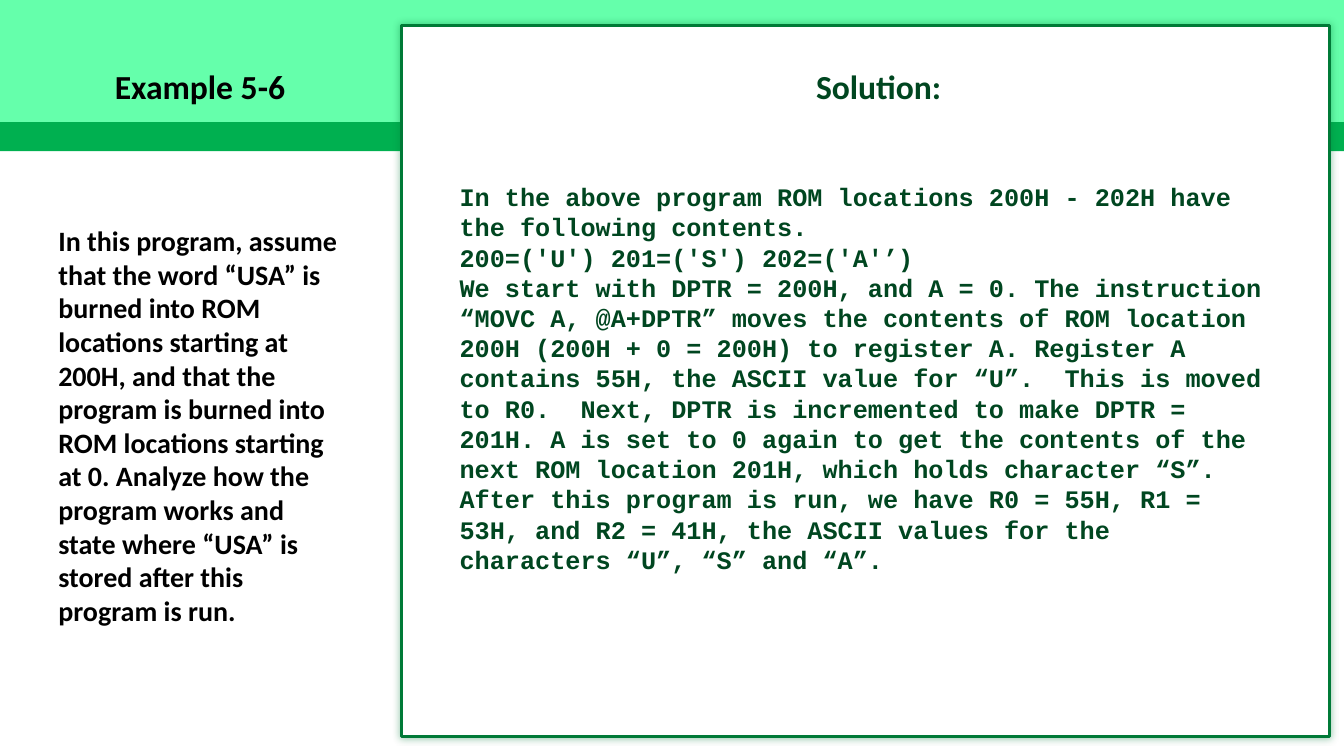
from dataclasses import dataclass

from lxml import etree
from pptx import Presentation
from pptx.dml.color import RGBColor
from pptx.enum.shapes import MSO_SHAPE
from pptx.enum.text import MSO_AUTO_SIZE, PP_ALIGN
from pptx.oxml.ns import qn
from pptx.util import Inches, Pt

RECT = MSO_SHAPE.RECTANGLE
FIT_SHAPE = MSO_AUTO_SIZE.SHAPE_TO_FIT_TEXT
LEFT, CENTER = PP_ALIGN.LEFT, PP_ALIGN.CENTER


@dataclass(frozen=True)
class Theme:
    band: str = "65FFAB"
    stripe: str = "00B050"
    panel: str = "FFFFFF"
    border: str = "007A37"
    question: str = "000000"
    answer: str = "004620"
    sans: str = "Calibri"
    mono: str = "Courier New"
    title_size: int = 24
    question_size: int = 20
    answer_size: int = 18


THEME = Theme()

QUESTION = (
    "In this program, assume that the word “USA” is burned into ROM locations "
    "starting at 200H, and that the program is burned into ROM locations starting "
    "at 0. Analyze how the program works and state where “USA” is stored after "
    "this program is run."
)
SOLUTION = [
    "In the above program ROM locations 200H - 202H have the following contents.",
    "200=('U')\t201=('S')\t202=('A'’)",
    "We start with DPTR = 200H, and A = 0. The instruction “MOVC A, @A+DPTR” moves "
    "the contents of ROM location 200H (200H + 0 = 200H) to register A. Register A "
    "contains 55H, the ASCII value for “U”.  This is moved to R0.  Next, DPTR is "
    "incremented to make DPTR = 201H. A is set to 0 again to get the contents of the "
    "next ROM location 201H, which holds character “S”.  After this program is run, "
    "we have R0 = 55H, R1 = 53H, and R2 = 41H, the ASCII values for the characters "
    "“U”, “S” and “A”.",
]


def add_rect(slide, box, fill, line=None):
    sp = slide.shapes.add_shape(RECT, *map(Inches, box))
    sp.shadow.inherit = False
    sp.fill.solid()
    sp.fill.fore_color.rgb = RGBColor.from_string(fill)
    if line:
        sp.line.color.rgb = RGBColor.from_string(line)
        sp.line.width = Pt(2.25)
    else:
        sp.line.fill.background()
    return sp


def add_halo(sp, color, blur, alpha):
    """Give the shape a centred soft shadow; blur in points, alpha in percent."""
    effects = sp._element.spPr.find(qn("a:effectLst"))
    shadow = etree.SubElement(
        effects, qn("a:outerShdw"), blurRad=str(Pt(blur)), dist="0", dir="0",
        algn="ctr", rotWithShape="0")
    clr = etree.SubElement(shadow, qn("a:srgbClr"), val=color)
    etree.SubElement(clr, qn("a:alpha"), val=str(alpha * 1000))


def add_text(slide, box, paragraphs, font, size, color, align=LEFT):
    tf = slide.shapes.add_textbox(*map(Inches, box)).text_frame
    tf.word_wrap = True
    tf.auto_size = FIT_SHAPE
    style = {"name": font, "size": Pt(size), "bold": True}
    for i, text in enumerate(paragraphs):
        p = tf.add_paragraph() if i else tf.paragraphs[0]
        p.alignment = align
        r = p.add_run()
        r.text = text
        for name, value in style.items():
            setattr(r.font, name, value)
        r.font.color.rgb = RGBColor.from_string(color)


def main():
    t = THEME
    prs = Presentation()
    prs.slide_width, prs.slide_height = Inches(13.33), Inches(7.5)
    slide = prs.slides.add_slide(prs.slide_layouts[6])

    add_rect(slide, (0, 0, 13.33, 1.5), t.stripe)
    add_rect(slide, (0, 0, 13.33, 1.21), t.band)
    panel = add_rect(slide, (3.98, 0.25, 9.21, 7.06), t.panel, t.border)
    add_halo(panel, t.border, blur=5, alpha=40)

    add_text(slide, (1.04, 0.6, 11.26, 0.5), ["Example 5-6"],
             t.sans, t.title_size, t.question)
    add_text(slide, (0.48, 2.17, 3.02, 4.14), [QUESTION],
             t.sans, t.question_size, t.question)
    add_text(slide, (4.46, 1.75, 8.25, 4.04), SOLUTION,
             t.mono, t.answer_size, t.answer)
    add_text(slide, (4.81, 0.6, 7.81, 0.5), ["Solution:"],
             t.sans, t.title_size, t.answer, CENTER)

    prs.save("out.pptx")


if __name__ == "__main__":
    main()
